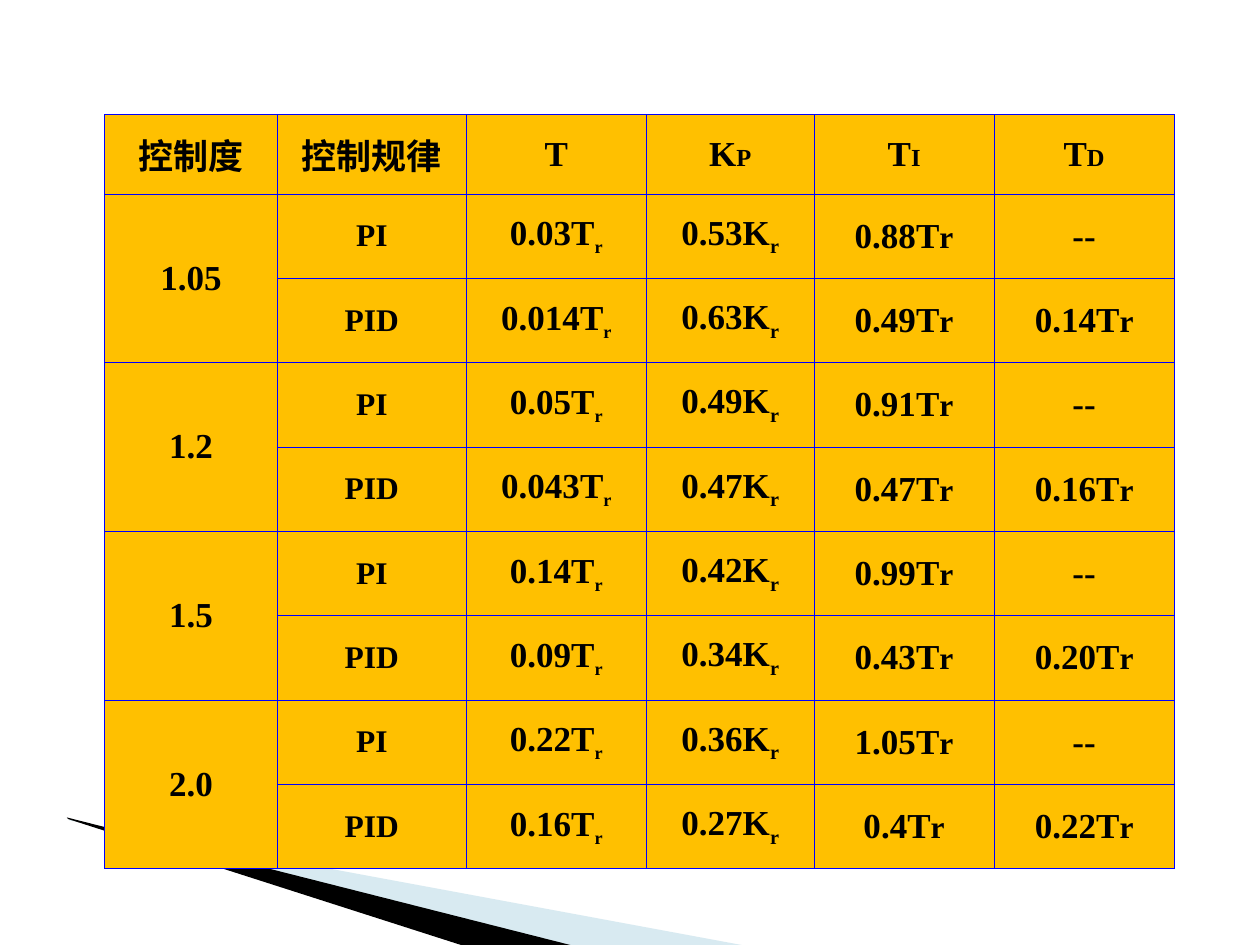
import dataclasses

import pptx
import pptx.dml.color
import pptx.enum.text
import pptx.oxml
import pptx.oxml.ns
import pptx.util

Cm = pptx.util.Cm
Pt = pptx.util.Pt


@dataclasses.dataclass(frozen=True)
class Theme:
    font: str = "Times New Roman"
    text: str = "000000"
    cell: str = "FFC000"
    border: str = "0000FF"
    dark_wedge: str = "000000"
    light_wedge: str = "9FCBDC"
    border_width: float = 0.45
    size: int = 20
    medium: int = 18
    small: int = 14


THEME = Theme()

COLUMN_WIDTHS = (3.48, 3.81, 3.63, 3.38, 3.63, 3.63)
HEADER_HEIGHT, ROW_HEIGHT = 1.6, 1.7

# Each pair is the main text and its smaller suffix
HEADER = (("控制度", ""), ("控制规律", ""), ("T", ""), ("K", "P"), ("T", "I"), ("T", "D"))

# Control degree, then T, Kp, Ti and Td for the PI and PID laws
GROUPS = (
    ("1.05", ("0.03", "0.53", "0.88", None), ("0.014", "0.63", "0.49", "0.14")),
    ("1.2", ("0.05", "0.49", "0.91", None), ("0.043", "0.47", "0.47", "0.16")),
    ("1.5", ("0.14", "0.42", "0.99", None), ("0.09", "0.34", "0.43", "0.20")),
    ("2.0", ("0.22", "0.36", "1.05", None), ("0.16", "0.27", "0.4", "0.22")),
)


def rgb(value):
    return pptx.dml.color.RGBColor.from_string(value)


def add_text(paragraph, text, size=THEME.size, baseline=0):
    run = paragraph.add_run()
    run.text = text
    run.font.name = THEME.font
    run.font.size = Pt(size)
    run.font.bold = True
    run.font.color.rgb = rgb(THEME.text)
    if baseline:
        run.font._element.set("baseline", str(baseline * 1000))


def set_borders(cell):
    properties = cell._tc.get_or_add_tcPr()
    for index, side in enumerate(("lnL", "lnR", "lnT", "lnB")):
        line = pptx.oxml.parse_xml(
            f'<a:{side} {pptx.oxml.ns.nsdecls("a")} w="{Pt(THEME.border_width)}">'
            f'<a:solidFill><a:srgbClr val="{THEME.border}"/></a:solidFill></a:{side}>'
        )
        properties.insert(index, line)


def style_cell(cell):
    cell.fill.solid()
    cell.fill.fore_color.rgb = rgb(THEME.cell)
    cell.vertical_anchor = pptx.enum.text.MSO_ANCHOR.MIDDLE
    set_borders(cell)


def write_cell(cell, text, suffix="", size=THEME.size, suffix_size=THEME.medium,
               baseline=0, space_before=5):
    paragraph = cell.text_frame.paragraphs[0]
    paragraph.alignment = pptx.enum.text.PP_ALIGN.CENTER
    paragraph.space_before = Pt(space_before)
    add_text(paragraph, text, size=size)
    if suffix:
        add_text(paragraph, suffix, size=suffix_size, baseline=baseline)


def write_law(table, row, law, values):
    period, gain, integral, derivative = values
    write_cell(table.cell(row, 1), law, size=THEME.medium, space_before=4.5)
    write_cell(table.cell(row, 2), period + "T", "r", baseline=-25, space_before=4.5)
    write_cell(table.cell(row, 3), gain + "K", "r", suffix_size=THEME.size, baseline=-25)
    write_cell(table.cell(row, 4), integral + "T", "r", space_before=4.5)
    if derivative:
        write_cell(table.cell(row, 5), derivative + "T", "r", space_before=4.5)
    else:
        write_cell(table.cell(row, 5), "--")


def add_parameter_table(slide):
    row_count = 1 + 2 * len(GROUPS)
    table = slide.shapes.add_table(
        row_count, len(COLUMN_WIDTHS), Cm(2.11), Cm(2.31), Cm(sum(COLUMN_WIDTHS)),
        Cm(HEADER_HEIGHT + ROW_HEIGHT * (row_count - 1))).table
    for column, width in zip(table.columns, COLUMN_WIDTHS):
        column.width = Cm(width)
    for index, row in enumerate(table.rows):
        row.height = Cm(ROW_HEIGHT if index else HEADER_HEIGHT)
    for cell in table.iter_cells():
        style_cell(cell)

    # Header row
    for column, (text, suffix) in enumerate(HEADER):
        write_cell(table.cell(0, column), text, suffix, suffix_size=THEME.small,
                   space_before=3.5 if suffix else 5)

    # Two rows for each control degree
    for index, (degree, pi_values, pid_values) in enumerate(GROUPS):
        row = 1 + 2 * index
        table.cell(row, 0).merge(table.cell(row + 1, 0))
        write_cell(table.cell(row, 0), degree)
        write_law(table, row, "PI", pi_values)
        write_law(table, row + 1, "PID", pid_values)


def add_wedge(slide, points, color, opacity=100):
    corners = [(Cm(x), Cm(y)) for x, y in points]
    builder = slide.shapes.build_freeform(*corners[0])
    builder.add_line_segments(corners[1:], close=True)
    shape = builder.convert_to_shape()
    shape.shadow.inherit = False
    shape.line.fill.background()
    shape.fill.solid()
    shape.fill.fore_color.rgb = rgb(color)
    if opacity < 100:
        color_element = shape._element.spPr.find(".//" + pptx.oxml.ns.qn("a:srgbClr"))
        color_element.append(pptx.oxml.parse_xml(
            f'<a:alpha {pptx.oxml.ns.nsdecls("a")} val="{opacity * 1000}"/>'))


def main():
    presentation = pptx.Presentation()
    presentation.slide_width, presentation.slide_height = Cm(25.4), Cm(19.05)
    slide = presentation.slides.add_slide(presentation.slide_layouts[6])

    # Corner decoration behind the table
    add_wedge(slide, ((1.4, 16.54), (15.11, 19.08), (11.58, 19.08), (1.4, 16.51)),
              THEME.light_wedge, opacity=40)
    add_wedge(slide, ((1.35, 16.48), (11.61, 19.08), (9.45, 19.1), (1.37, 16.51)),
              THEME.dark_wedge)

    add_parameter_table(slide)
    presentation.save("out.pptx")


if __name__ == "__main__":
    main()
